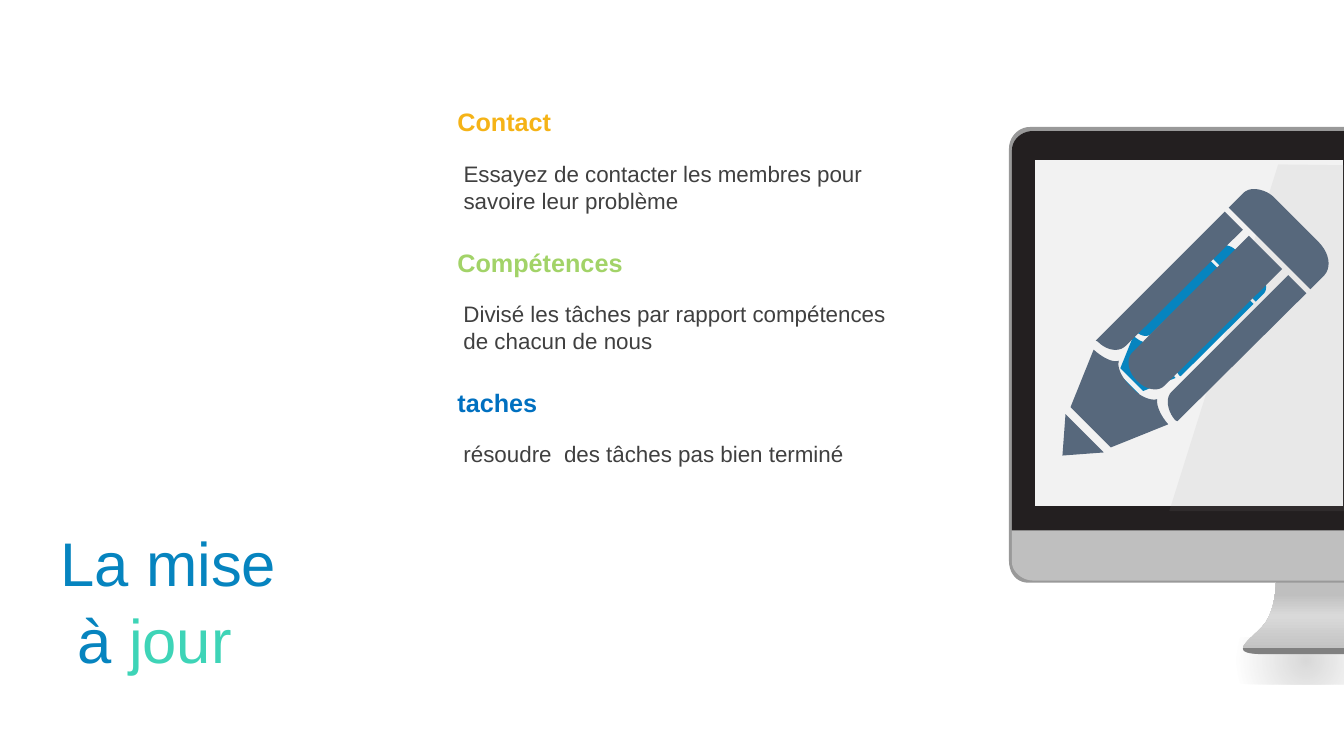
import pptx
import pptx.util
import pptx.dml.color
import pptx.enum.shapes
import pptx.oxml.ns
import lxml.etree

Pt = pptx.util.Pt
RGB = pptx.dml.color.RGBColor
qn = pptx.oxml.ns.qn

BLUE = RGB(0x06, 0x84, 0xBF)
TEAL = RGB(0x3E, 0xD4, 0xB7)
GOLD = RGB(0xF5, 0xB3, 0x17)
GREEN = RGB(0xA2, 0xD3, 0x68)
NAVY = RGB(0x00, 0x70, 0xC0)
SLATE = RGB(0x57, 0x68, 0x7C)
TEXT = RGB(0x40, 0x40, 0x40)
BLACK = RGB(0x23, 0x1F, 0x20)
EDGE = RGB(0x99, 0x99, 0x99)
GREY = RGB(0x80, 0x80, 0x80)
SILVER = RGB(0xBF, 0xBF, 0xBF)
LIGHT = RGB(0xD9, 0xD9, 0xD9)
PALE = RGB(0xF2, 0xF2, 0xF2)

deck = pptx.Presentation()
deck.slide_width = Pt(960)
deck.slide_height = Pt(540)
slide = deck.slides.add_slide(deck.slide_layouts[6])


def write(text, left, top, width, height, size, hues, bold=False, inset=7.2, pad=3.6, gap=0):
    box = slide.shapes.add_textbox(Pt(left), Pt(top), Pt(width), Pt(height))
    frame = box.text_frame
    frame.word_wrap = True
    frame.margin_left = Pt(inset)
    frame.margin_top = Pt(pad)
    tints = iter(hues)
    for row, line in enumerate(text.split("\n")):
        para = frame.add_paragraph() if row else frame.paragraphs[0]
        para.space_before = Pt(gap)
        for part in line.split("|"):
            run = para.add_run()
            run.text = part
            run.font.name = "Arial"
            run.font.size = Pt(size)
            run.font.bold = bold
            run.font.color.rgb = next(tints)


def trace(parts, fill, left=0, top=0, scale=1):
    pen = None
    for part in parts:
        dots = [part[0]]
        for step in part[1:]:
            if len(step) == 2:
                dots.append(step)
                continue
            ends = [dots[-1], step[:2], step[2:4], step[4:]]
            for tick in range(1, 11):
                t = tick / 10
                mix = [(1 - t) ** 3, 3 * t * (1 - t) ** 2, 3 * t * t * (1 - t), t ** 3]
                dots.append([sum(m * e[axis] for m, e in zip(mix, ends)) for axis in (0, 1)])
        dots = [(Pt(left + scale * x), Pt(top + scale * y)) for x, y in dots]
        if pen is None:
            pen = slide.shapes.build_freeform(*dots[0])
        else:
            pen.move_to(*dots[0])
        pen.add_line_segments(dots[1:], close=True)
    shape = pen.convert_to_shape()
    shape.shadow.inherit = False
    shape.fill.solid()
    shape.fill.fore_color.rgb = fill
    shape.line.fill.background()
    return shape


kinds = pptx.enum.shapes.MSO_SHAPE
glow = slide.shapes.add_shape(kinds.OVAL, Pt(766.8), Pt(455), Pt(331.9), Pt(33.8))
glow.shadow.inherit = False
glow.line.fill.background()

stand = trace([[(911.5, 415.4), (960, 415.4), (960, 467.3), (902.9, 467.3),
                (875.5, 467.3, 891.4, 458.6, 901.4, 447.8),
                (911.5, 437.8, 911.5, 415.4, 911.5, 415.4)]], SILVER)

fades = [
    (glow, [(0, GREY, 30), (30, GREY, 0), (100, GREY, 0)]),
    (stand, [(0, SILVER, 100), (53, LIGHT, 100), (83, SILVER, 100), (100, SILVER, 100)]),
]
for shape, stops in fades:
    shape.fill.gradient()
    grad = shape._element.spPr.find(qn("a:gradFill"))
    grad.clear()
    steps = lxml.etree.SubElement(grad, qn("a:gsLst"))
    for spot, hue, alpha in stops:
        stop = lxml.etree.SubElement(steps, qn("a:gs"), pos=str(spot * 1000))
        tint = lxml.etree.SubElement(stop, qn("a:srgbClr"), val=str(hue))
        lxml.etree.SubElement(tint, qn("a:alpha"), val=str(alpha * 1000))
    if shape is glow:
        form = lxml.etree.SubElement(grad, qn("a:path"), {"path": "circle"})
        sides = dict.fromkeys("ltrb", "50000")
        lxml.etree.SubElement(form, qn("a:fillToRect"), sides)
    else:
        lxml.etree.SubElement(grad, qn("a:lin"), ang="16200000", scaled="0")

trace([[(735.8, 90.7), (960, 90.7), (960, 416.2), (734.4, 416.2),
        (726.5, 416.2, 720.7, 409.7, 720.7, 400.3), (720.7, 106.6),
        (720.7, 97.2, 727.9, 90.7, 735.8, 90.7)]], EDGE)
trace([[(738, 93.6), (960, 93.6), (960, 378.7), (722.9, 378.7), (722.9, 107.3),
        (722.9, 99.4, 730.1, 93.6, 738, 93.6)]], BLACK)
trace([[(887.8, 463), (960, 463), (960, 467.3), (903.6, 467.3),
        (892.1, 467.3, 887.8, 465.8, 887.8, 463)]], GREY)
trace([[(722.9, 379.4), (960, 379.4), (960, 414.7), (738, 414.7),
        (730.1, 414.7, 722.9, 408.2, 722.9, 401.8)]], SILVER)
trace([[(739.4, 114.5), (959, 114.5), (959, 361.4), (739.4, 361.4)]], PALE)
glass = trace([[(913, 117.4), (960, 118), (960, 365), (835.2, 365)]], EDGE)
tint = glass._element.spPr.find(qn("a:solidFill"))[0]
lxml.etree.SubElement(tint, qn("a:alpha"), val="10000")

write("La mise\n à |jour", 15.1, 367.9, 226.8, 163.4, size=44,
      hues=[BLUE, BLUE, TEAL], inset=28.1, pad=7, gap=2)

topics = [
    ("Contact", GOLD, "Essayez de contacter les membres pour savoire leur problème", 330.5, 46),
    ("Compétences", GREEN, "Divisé les tâches par rapport compétences de chacun de nous", 316.8, 46),
    ("taches", NAVY, "résoudre  des tâches pas bien terminé", 316.8, 26.6),
]
for row, (head, hue, body, width, height) in enumerate(topics):
    top = 72.7 + row * 100.1
    write(body, 324, top + 38.2, width, height, size=16, hues=[TEXT])
    write(head, 319.7, top, 151.2, 28.8, size=18, hues=[hue], bold=True)

pencil = [
    [(2.2, 161.3), (29.5, 188.6), (0, 190.8)],
    [(22.3, 115.2), (28.8, 121, 36, 124.6, 40.3, 123.1),
     (38.9, 128.2, 42.5, 135.4, 49, 141.8), (55.4, 149, 63.4, 151.9, 67.7, 150.5),
     (67, 154.8, 69.8, 162, 75.6, 168.5), (34.6, 185), (5.8, 156.2)],
    [(161.3, 61.9), (174.2, 74.9), (82.1, 166.3), (80.6, 165.6),
     (74.9, 159.1, 73.4, 149.8, 77.8, 145.4)],
    [(133.2, 33.8), (157, 57.6), (72.7, 141.1), (68.4, 145.4, 59.8, 144, 53.3, 137.5),
     (46.8, 131, 45.4, 122.4, 49.7, 117.4)],
    [(115.9, 16.6), (128.9, 29.5), (45.4, 112.3),
     (40.3, 117.4, 31.7, 115.9, 25.2, 109.4), (23.8, 108.7)],
    [(139.7, 0.7), (144, 1.4, 149, 3.6, 152.6, 7.9), (182.9, 38.2),
     (190.8, 46.1, 192.2, 56.2, 187.2, 61.9), (177.1, 72), (118.8, 13.7),
     (128.9, 3.6), (131.8, 0.7, 135.4, 0, 139.7, 0.7)],
]
trace(pencil, BLUE, left=797, top=174.8, scale=0.565)
trace(pencil, SLATE, left=758.9, top=134.6)

deck.save("out.pptx")
